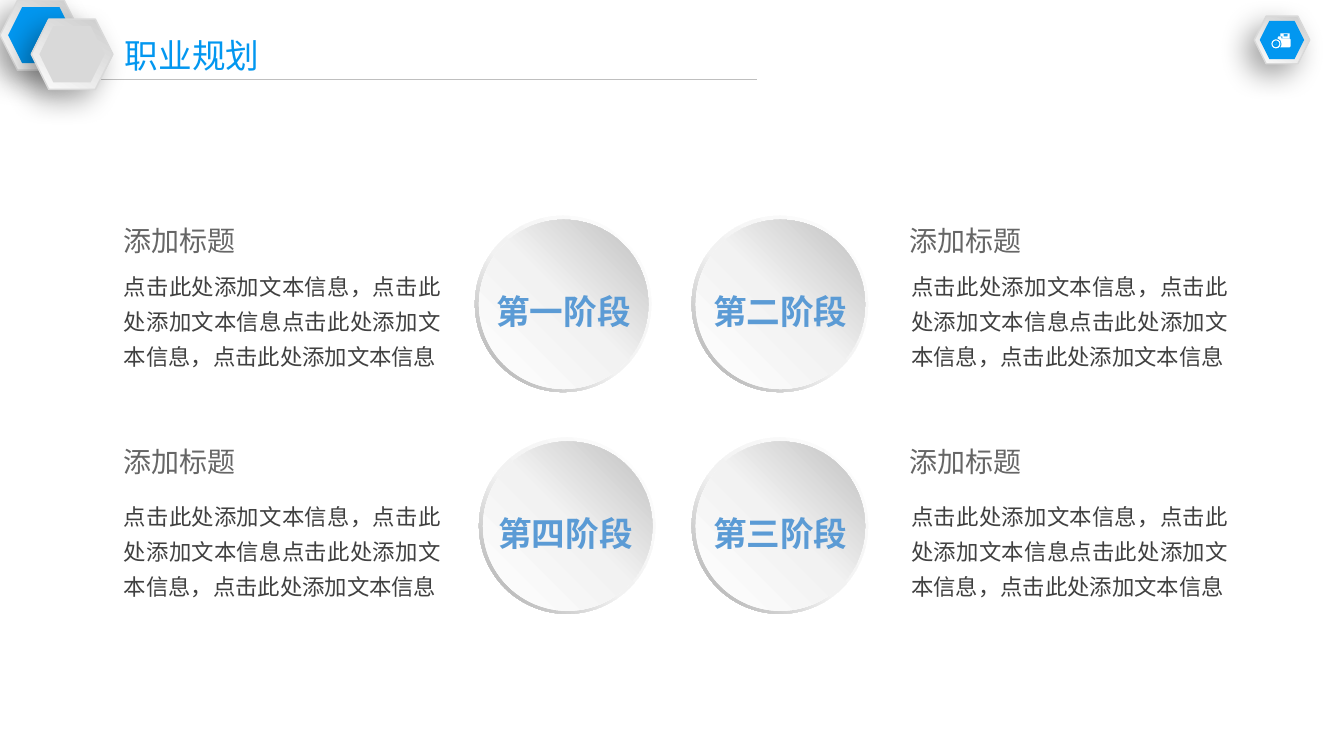
from dataclasses import dataclass

from lxml import etree
from pptx import Presentation, util as u
from pptx.dml import color
from pptx.enum import shapes, text
from pptx.oxml import ns

KIND = shapes.MSO_SHAPE


@dataclass(frozen=True)
class Theme:
    font: str = "Noto Sans CJK SC"
    blue: str = "0297F0"
    label: str = "5B9BD5"
    head: str = "666666"
    body: str = "404040"
    gray: str = "D9D9D9"
    rule: str = "BFBFBF"
    white: str = "FFFFFF"
    black: str = "000000"
    big: int = 24
    mid: int = 20
    small: int = 16
    rim: tuple = ((0, "CCCCCC"), (100, "FCFCFC"))
    ring: tuple = ((0, "FFFFFF"), (55, "F2F2F2"), (100, "A6A6A6"))
    disc: tuple = ((0, "FFFFFF"), (51, "F2F2F2"), (100, "BFBFBF"))


look = Theme()


def rgb(code):
    return color.RGBColor.from_string(code)


def apply(item, form):
    for key, value in form.items():
        setattr(item, key, value)


def node(root, tag, **attrs):
    return etree.SubElement(root, ns.qn(tag), {k: str(v) for k, v in attrs.items()})


def paint(shape, fill, angle=0):
    shape.shadow.inherit = False
    shape.line.fill.background()
    if isinstance(fill, str):
        shape.fill.solid()
        shape.fill.fore_color.rgb = rgb(fill)
        return
    shape.fill.gradient()
    shape.fill.gradient_angle = 360 - angle
    stops = shape.element.spPr.find(".//" + ns.qn("a:gsLst"))
    for stop in list(stops):
        stops.remove(stop)
    for place, code in fill:
        node(node(stops, "a:gs", pos=place * 1000), "a:srgbClr", val=code)


def form(art, kind, box, fill, angle=0):
    shape = art.add_shape(kind, *map(u.Inches, box))
    paint(shape, fill, angle)
    return shape


def cast(shape):
    glow = shape.element.spPr.find(ns.qn("a:effectLst"))
    drop = node(glow, "a:outerShdw", blurRad=u.Pt(20), dist=u.Pt(10),
                dir=136 * 60000, algn="ctr", rotWithShape=0)
    node(node(drop, "a:srgbClr", val=look.black), "a:alpha", val=34000)


def write(art, box, words, size, tint, bold=False, pitch=1.25,
          align=text.PP_ALIGN.LEFT, inset=True):
    frame = art.add_textbox(*map(u.Inches, box)).text_frame
    apply(frame, {"word_wrap": True, "auto_size": text.MSO_AUTO_SIZE.NONE})
    if not inset:
        apply(frame, {f"margin_{side}": 0 for side in ("left", "top", "right", "bottom")})
    line = frame.paragraphs[0]
    apply(line, {"alignment": align, "line_spacing": u.Pt(size * pitch)})
    run = line.add_run()
    run.text = words
    apply(run.font, {"name": look.font, "size": u.Pt(size), "bold": bold})
    run.font.color.rgb = rgb(tint)
    node(run.font._element, "a:ea", typeface=look.font)


def badge(art, x, y, w, fill):
    h = w * 0.86
    rim = form(art, KIND.HEXAGON, (x, y, w, h), look.rim, 120)
    apply(rim.line, {"width": u.Pt(1)})
    rim.line.color.rgb = rgb(look.gray)
    cast(rim)
    form(art, KIND.HEXAGON, (x + w * 0.1, y + h * 0.1, w * 0.8, h * 0.8), fill)


def trace(art, x, y, loops):
    pen = None
    for loop in loops:
        if pen is None:
            pen = art.build_freeform(*loop[0], scale=u.Inches(0.01))
        else:
            pen.move_to(*loop[0])
        pen.add_line_segments(loop[1:], close=True)
    paint(pen.convert_to_shape(u.Inches(x), u.Inches(y)), look.white)


def slot(top, low):
    return [(12, top), (12, low), (16, low), (16, top)]


def icon(art, x, y):
    case = [(6, 5), (7, 3), (10, 3), (10, 5), (18, 5), (19, 6),
            (19, 13), (18, 14), (9, 14), (10, 12), (10, 10), (9, 7)]
    page = [(9, 0), (18, 0), (18, 5), (11, 5), (11, 3), (9, 3)]
    hand = [(5, 9), (5.4, 9), (5.4, 11.4), (3, 11.4), (3, 11), (5, 11)]
    trace(art, x, y, [case])
    trace(art, x, y, [page] + [slot(t, t + 0.6) for t in (1, 2.4, 3.8)])
    dial = form(art, KIND.DONUT, (x, y + 0.06, 0.09, 0.09), look.white)
    dial.adjustments[0] = 0.12
    trace(art, x, y, [hand])


def header(art, x, y, w):
    rule = art.add_connector(shapes.MSO_CONNECTOR.STRAIGHT,
                             *map(u.Inches, (x + 0.81, y + 0.79, x + 7.51, y + 0.79)))
    rule.line.width = u.Pt(1)
    rule.line.color.rgb = rgb(look.rule)
    node(rule.element.spPr, "a:effectLst")
    pair = art.add_group_shape().shapes
    badge(pair, x, y, 0.81, look.blue)
    badge(pair, x + 0.31, y + 0.19, 0.81, look.gray)
    write(art, (x + 1.14, y + 0.28, 3.25, 0.5), "职业规划", look.big, look.blue)
    mark = art.add_group_shape().shapes
    badge(mark, x + w - 0.89, y + 0.16, 0.55, look.blue)
    icon(mark, x + w - 0.72, y + 0.33)


def stage(art, x, y, name, shift):
    art = art.add_group_shape().shapes
    ring = form(art, KIND.DONUT, (x, y, 1.75, 1.75), look.ring, 135)
    ring.adjustments[0] = 0.05
    form(art, KIND.OVAL, (x + 0.04, y + 0.04, 1.68, 1.68), look.disc, 315)
    write(art, (x + shift, y + 0.73, 1.5, 0.4), name, look.big, look.label, True,
          align=text.PP_ALIGN.CENTER, inset=False)


def note(art, x, y, inset, gap):
    write(art, (x, y, 2.82, 0.44), "添加标题", look.mid, look.head)
    unit = "点击此处添加文本信息"
    write(art, (x + inset, y + gap, 3.34, 1.15), f"{unit}，{unit}{unit}，{unit}",
          look.small, look.body, pitch=1.56, align=text.PP_ALIGN.JUSTIFY)


def plan(art, x, y):
    left, right = (x, 0), (x + 7.79, 0.02)
    for name, disc, shift, side, row, gap in (
            ("第一阶段", 3.58, 0.13, left, 0, 0.43),
            ("第二阶段", 5.73, 0.13, right, 0, 0.43),
            ("第四阶段", 3.62, 0.11, left, 1, 0.51),
            ("第三阶段", 5.73, 0.13, right, 1, 0.51)):
        top = y + row * 2.2
        stage(art, x + disc, top, name, shift)
        note(art, side[0], top + 0.01, side[1], gap)


deck = Presentation()
apply(deck, {"slide_width": u.Inches(13.33), "slide_height": u.Inches(7.5)})
page = deck.slides.add_slide(deck.slide_layouts[6])
header(page.shapes, 0, 0, 13.33)
plan(page.shapes, 1.13, 2.14)
deck.save("out.pptx")
